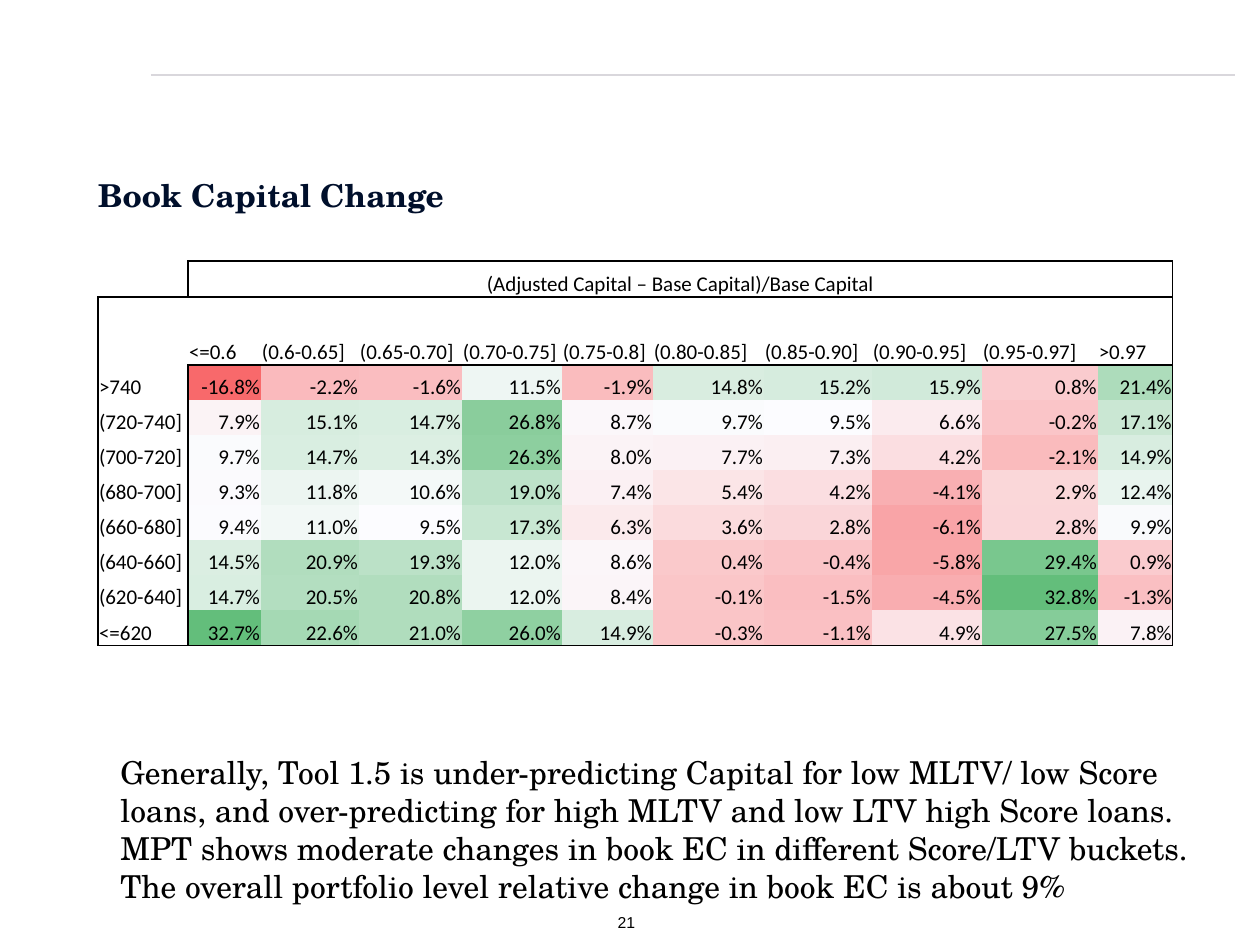
from dataclasses import dataclass

from lxml.etree import SubElement
from pptx import Presentation
from pptx.dml.color import RGBColor
from pptx.enum.text import MSO_ANCHOR, MSO_AUTO_SIZE, PP_ALIGN
from pptx.oxml import parse_xml
from pptx.oxml.ns import nsdecls, qn
from pptx.util import Emu, Pt


@dataclass(frozen=True)
class Theme:
    """Hold the colours, fonts and type sizes."""
    ink: str = "000000"
    navy: str = "000F2B"
    rule: str = "D9D7DC"
    low: str = "F8696B"
    mid: str = "FCFCFF"
    high: str = "63BE7B"
    serif: str = "TeX Gyre Schola"
    sans: str = "Calibri"
    plain: str = "Arial"
    head: int = 18
    grid: int = 12
    foot: int = 9


THEME = Theme()
TITLE = "Book Capital Change"
NOTE = ("Generally, Tool 1.5 is under-predicting Capital for low MLTV/ low Score loans, "
        "and over-predicting for high MLTV and low LTV high Score loans. MPT shows "
        "moderate changes in book EC in different Score/LTV buckets. The overall "
        "portfolio level relative change in book EC is about 9%")
SPAN = "(Adjusted Capital – Base Capital)/Base Capital"
BANDS = ["<=0.6", "(0.6-0.65]", "(0.65-0.70]", "(0.70-0.75]", "(0.75-0.8]",
         "(0.80-0.85]", "(0.85-0.90]", "(0.90-0.95]", "(0.95-0.97]", ">0.97"]
RATES = {
    ">740": [-16.8, -2.2, -1.6, 11.5, -1.9, 14.8, 15.2, 15.9, 0.8, 21.4],
    "(720-740]": [7.9, 15.1, 14.7, 26.8, 8.7, 9.7, 9.5, 6.6, -0.2, 17.1],
    "(700-720]": [9.7, 14.7, 14.3, 26.3, 8.0, 7.7, 7.3, 4.2, -2.1, 14.9],
    "(680-700]": [9.3, 11.8, 10.6, 19.0, 7.4, 5.4, 4.2, -4.1, 2.9, 12.4],
    "(660-680]": [9.4, 11.0, 9.5, 17.3, 6.3, 3.6, 2.8, -6.1, 2.8, 9.9],
    "(640-660]": [14.5, 20.9, 19.3, 12.0, 8.6, 0.4, -0.4, -5.8, 29.4, 0.9],
    "(620-640]": [14.7, 20.5, 20.8, 12.0, 8.4, -0.1, -1.5, -4.5, 32.8, -1.3],
    "<=620": [32.7, 22.6, 21.0, 26.0, 14.9, -0.3, -1.1, 4.9, 27.5, 7.8],
}
STOPS = (-16.8, 9.5, 32.8)
COLS = [90, 73, 98, 103, 100, 91, 111, 108, 110, 116, 75]
ROWS = [36, 68] + [35] * 7 + [36]


def px(num):
    """Turn px into EMU."""
    return Emu(round(num * 914400 / 126))


def assign(obj, vals):
    """Set each attribute from a dict."""
    for key, val in vals.items():
        setattr(obj, key, val)


def place(shape, box):
    """Move a shape to its box."""
    assign(shape, dict(zip(("left", "top", "width", "height"), map(px, box))))


def write(frame, text, font, size, tint=THEME.ink, bold=False, **form):
    """Put one formatted paragraph in a frame."""
    para = frame.paragraphs[0]
    assign(para, form)
    run = para.add_run()
    run.text = text
    assign(run.font, {"name": font, "size": Pt(size), "bold": bold})
    run.font.color.rgb = RGBColor.from_string(tint)


def blend(rate):
    """Mix the three-stop scale colour for a rate."""
    low, mid, high = STOPS
    end, part = ((THEME.low, (mid - rate) / (mid - low)) if rate < mid
                 else (THEME.high, (rate - mid) / (high - mid)))
    pairs = zip(RGBColor.from_string(THEME.mid), RGBColor.from_string(end))
    return RGBColor(*(int(a + (b - a) * part) for a, b in pairs))


def sides(row, col):
    """Name the sides of a cell that carry a line."""
    last, end = len(ROWS) - 1, len(COLS) - 1
    body = col > 0
    tests = {
        "L": (col == 0 and row > 0) or (col == 1 and row != 1),
        "R": col == end or (col == 0 and row != 1) or (row == 0 and body),
        "T": (body and row < 3) or (row, col) == (1, 0),
        "B": row == last or (body and row < 2) or (row, col) == (0, 0),
    }
    return {side for side, test in tests.items() if test}


def edge(cell, drawn):
    """Line the drawn sides and clear the rest."""
    props = cell._tc.get_or_add_tcPr()
    for spot, side in enumerate("LRTB"):
        paint = (f'<a:solidFill><a:srgbClr val="{THEME.ink}"/></a:solidFill>'
                 if side in drawn else "<a:noFill/>")
        props.insert(spot, parse_xml(
            f'<a:ln{side} {nsdecls("a")} w="{Pt(1)}">{paint}</a:ln{side}>'))


def fill_cell(cell, item, align):
    """Write and colour one cell."""
    assign(cell, {"margin_left": px(1), "margin_right": px(1), "margin_top": px(1),
                  "margin_bottom": 0, "vertical_anchor": MSO_ANCHOR.BOTTOM})
    cell.fill.background()
    text = item
    if isinstance(item, float):
        text = f"{item:.1f}%"
        cell.fill.solid()
        cell.fill.fore_color.rgb = blend(item)
    if text:
        write(cell.text_frame, text, THEME.sans, THEME.grid, alignment=align)
    else:
        para = cell.text_frame.paragraphs[0]._p
        SubElement(para, qn("a:endParaRPr")).set("sz", str(THEME.grid * 100))


def add_grid(slide, box):
    """Build the heat table."""
    table = slide.shapes.add_table(len(ROWS), len(COLS), *map(px, box)).table
    assign(table, {"first_row": False, "horz_banding": False})
    for col, wide in zip(table.columns, COLS):
        col.width = px(wide)
    for row, tall in zip(table.rows, ROWS):
        row.height = px(tall)
    items = [["", SPAN] + [""] * 9, [""] + BANDS]
    items += [[name, *map(float, rates)] for name, rates in RATES.items()]
    for r, line in enumerate(items):
        for c, item in enumerate(line):
            align = (PP_ALIGN.CENTER if r == 0 else
                     PP_ALIGN.RIGHT if isinstance(item, float) else PP_ALIGN.LEFT)
            cell = table.cell(r, c)
            fill_cell(cell, item, align)
            edge(cell, sides(r, c))
    table.cell(0, 1).merge(table.cell(0, len(COLS) - 1))


def add_rule(slide, box):
    """Draw the top rule."""
    left, top, wide, tall = box
    rule = slide.shapes.add_connector(1, *map(px, (left, top, left + wide, top + tall)))
    rule.line.color.rgb = RGBColor.from_string(THEME.rule)
    rule.line.width = Pt(1.5)
    SubElement(rule._element.spPr, qn("a:effectLst"))


def add_title(slide, box):
    """Fill the title placeholder."""
    title = slide.shapes.title
    place(title, box)
    assign(title.text_frame, {"margin_left": 0, "word_wrap": True,
                              "auto_size": MSO_AUTO_SIZE.NONE,
                              "vertical_anchor": MSO_ANCHOR.MIDDLE})
    write(title.text_frame, TITLE, THEME.serif, THEME.head, THEME.navy, True,
          alignment=PP_ALIGN.LEFT, line_spacing=0.9)


def add_text(slide, box, text, font, size, align):
    """Add a wrapped text box."""
    frame = slide.shapes.add_textbox(*map(px, box)).text_frame
    frame.word_wrap = True
    write(frame, text, font, size, alignment=align)


def main():
    """Build and save the deck."""
    deck = Presentation()
    assign(deck, {"slide_width": px(1260), "slide_height": px(945)})
    slide = deck.slides.add_slide(deck.slide_layouts[5])
    add_rule(slide, (151, 75, 1084, 0))
    add_text(slide, (570, 907, 113, 29), "21", THEME.plain, THEME.foot, PP_ALIGN.CENTER)
    add_title(slide, (98, 175, 1135, 44))
    add_text(slide, (108, 747, 1094, 165), NOTE, THEME.serif, THEME.head, PP_ALIGN.LEFT)
    add_grid(slide, (98, 261, sum(COLS), sum(ROWS)))
    deck.save("out.pptx")


if __name__ == "__main__":
    main()
